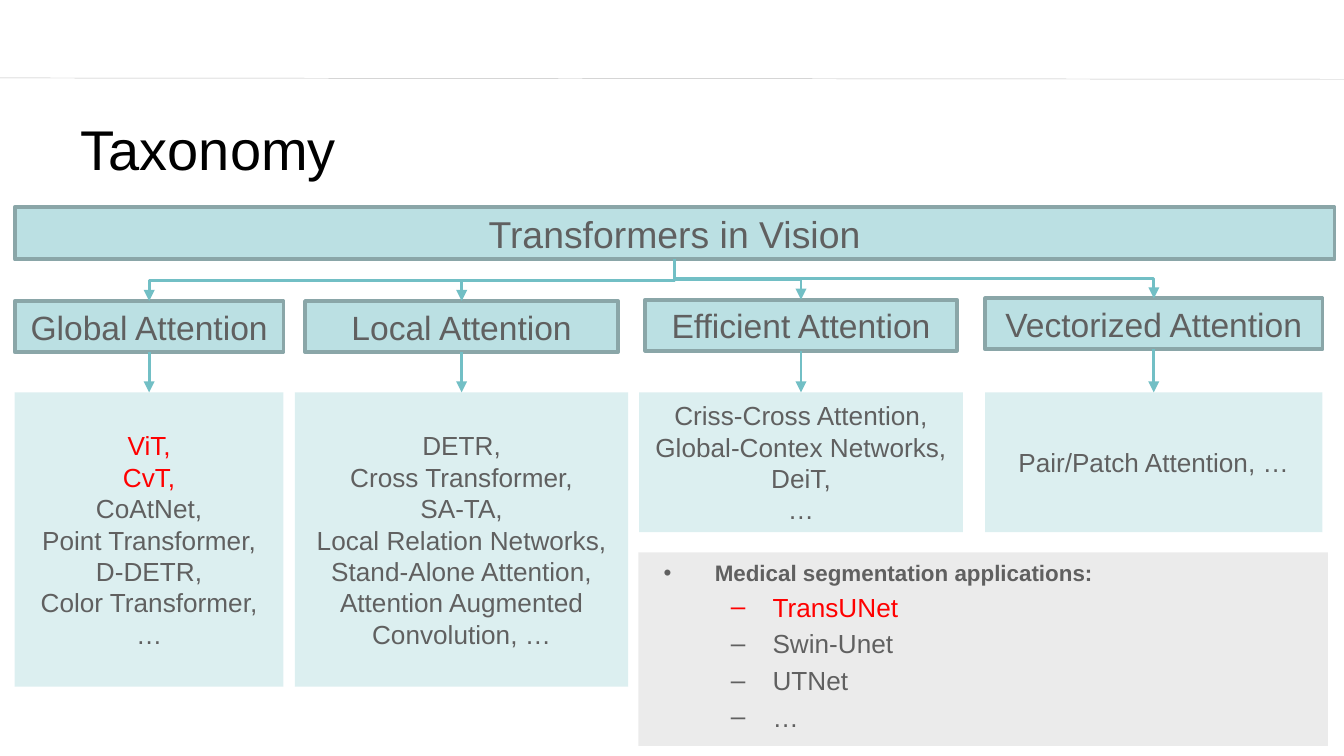
from dataclasses import dataclass

from lxml import etree
from pptx import Presentation
from pptx import util as u
from pptx.dml.color import RGBColor
from pptx.enum import shapes, text
from pptx.oxml import ns


@dataclass(frozen=True)
class Theme:
    font: str = "Arial"
    ink: str = "606060"
    title_ink: str = "000000"
    highlight: str = "FF0000"
    fill: str = "BBE0E3"
    border: str = "8AA6A8"
    arrow: str = "72BFC5"
    panel: str = "D9D9D9"
    rule: str = "BFBFBF"
    title_size: int = 30
    root_size: int = 20
    head_size: int = 18
    body_size: int = 14
    label_size: int = 12


THEME = Theme()
HIGHLIGHTED = {"ViT,", "CvT,", "TransUNet"}
LEAF_TOP = 2.92

BRANCHES = [
    ("Global Attention", (0.11, 2.24, 2, 0.38), (2, 2.19),
     ["ViT,", "CvT,", "CoAtNet,", "Point Transformer,", "D-DETR,", "Color Transformer, …"]),
    ("Local Attention", (2.27, 2.24, 2.33, 0.38), (2.48, 2.19),
     ["DETR,", "Cross Transformer,", "SA-TA,", "Local Relation Networks,",
      "Stand-Alone Attention,", "Attention Augmented Convolution, …"]),
    ("Efficient Attention", (4.8, 2.23, 2.32, 0.38), (2.41, 1.04),
     ["Criss-Cross Attention,", "Global-Contex Networks, DeiT,", "…"]),
    ("Vectorized Attention", (7.33, 2.22, 2.51, 0.38), (2.51, 1.04),
     ["Pair/Patch Attention, …"]),
]
APPLICATIONS = ["TransUNet", "Swin-Unet", "UTNet", "…"]


def color(value):
    return RGBColor.from_string(value)


def inches(values):
    return [u.Inches(value) for value in values]


def add_child(parent, tag, **attributes):
    return etree.SubElement(parent, ns.qn(tag), attributes)


def style_font(para, size, ink=THEME.ink, bold=False):
    para.font.name = THEME.font
    para.font.size = u.Pt(size)
    para.font.bold = bold
    para.font.color.rgb = color(ink)


def write_lines(frame, lines, size):
    for index, line in enumerate(lines):
        para = frame.add_paragraph() if index else frame.paragraphs[0]
        para.text = line
        para.alignment = text.PP_ALIGN.CENTER
        style_font(para, size, THEME.highlight if line in HIGHLIGHTED else THEME.ink)


def add_box(parent, bounds, fill, opacity=100, border=None):
    box = parent.add_shape(shapes.MSO_SHAPE.RECTANGLE, *inches(bounds))
    box.shadow.inherit = False
    box.fill.solid()
    box.fill.fore_color.rgb = color(fill)
    if opacity < 100:
        tone = box.fill._xPr.find(ns.qn("a:solidFill"))[0]
        add_child(tone, "a:alpha", val=str(opacity * 1000))
    if border:
        box.line.color.rgb = color(border)
        box.line.width = u.Pt(2)
    else:
        box.line.fill.background()
    box.text_frame.word_wrap = True
    box.text_frame.vertical_anchor = text.MSO_ANCHOR.MIDDLE
    return box


def add_node(page, bounds, label, size):
    box = add_box(page.shapes, bounds, THEME.fill, border=THEME.border)
    box.text_frame.word_wrap = False
    write_lines(box.text_frame, [label], size)
    return box


def add_line(page, kind, ends, ink, width, arrow=False):
    line = page.shapes.add_connector(kind, *ends)
    line.line.color.rgb = color(ink)
    line.line.width = u.Pt(width)
    if arrow:
        add_child(line.line._get_or_add_ln(), "a:tailEnd", type="triangle")
    add_child(line._element.spPr, "a:effectLst")
    return line


def join(page, upper, lower, kind):
    start_x, start_y = upper.left + upper.width // 2, upper.top + upper.height
    end_x, end_y = lower.left + lower.width // 2, lower.top
    line = add_line(page, kind, (start_x, start_y, end_x, end_y), THEME.arrow, 1.5, True)
    line.begin_connect(upper, 2)
    line.end_connect(lower, 0)
    if kind == shapes.MSO_CONNECTOR.ELBOW:
        drop, span = end_y - start_y, abs(end_x - start_x)
        line.left = (start_x + end_x - drop) // 2
        line.top = (start_y + end_y - span) // 2
        line.width, line.height = drop, span
        leftward = end_x < start_x
        frame = line._element.spPr.find(ns.qn("a:xfrm"))
        frame.set("rot", str((90 if leftward else 270) * 60000))
        frame.set("flipH", "0" if leftward else "1")


def add_header(page, bounds):
    add_line(page, shapes.MSO_CONNECTOR.STRAIGHT, inches((0, 0.58, 10, 0.59)), THEME.rule, 0.25)
    title = page.shapes.title
    title.left, title.top, title.width, title.height = inches(bounds)
    title.text_frame.vertical_anchor = text.MSO_ANCHOR.MIDDLE
    para = title.text_frame.paragraphs[0]
    para.text = "Taxonomy"
    para.alignment = text.PP_ALIGN.LEFT
    style_font(para, THEME.title_size, THEME.title_ink)


def add_taxonomy(page, bounds):
    root = add_node(page, bounds, "Transformers in Vision", THEME.root_size)
    for label, head_bounds, (width, height), members in BRANCHES:
        head = add_node(page, head_bounds, label, THEME.head_size)
        left = head_bounds[0] + (head_bounds[2] - width) / 2
        leaf = add_box(page.shapes, (left, LEAF_TOP, width, height), THEME.fill, opacity=50)
        write_lines(leaf.text_frame, members, THEME.body_size)
        join(page, root, head, shapes.MSO_CONNECTOR.ELBOW)
        join(page, head, leaf, shapes.MSO_CONNECTOR.STRAIGHT)


def add_bullet(para, line, symbol, margin, hanging):
    para.text = line
    para.space_before = u.Pt(2.8)
    properties = para._p.get_or_add_pPr()
    properties.set("marL", str(u.Inches(margin)))
    properties.set("indent", str(-u.Inches(hanging)))
    add_child(properties, "a:buFont", typeface=THEME.font)
    add_child(properties, "a:buChar", char=symbol)


def add_applications(page, bounds):
    left, top, width, height = bounds
    group = page.shapes.add_group_shape()
    add_box(group.shapes, bounds, THEME.panel, opacity=50)
    notes = group.shapes.add_textbox(*inches((left + 0.09, top, width - 0.09, height - 0.18)))
    frame = notes.text_frame
    frame.word_wrap = True
    heading = frame.paragraphs[0]
    add_bullet(heading, "Medical segmentation applications:", "•", 0.38, 0.38)
    style_font(heading, THEME.label_size, bold=True)
    for name in APPLICATIONS:
        para = frame.add_paragraph()
        para.level = 1
        add_bullet(para, name, "–", 0.81, 0.31)
        style_font(para, THEME.body_size, THEME.highlight if name in HIGHLIGHTED else THEME.ink)


def main():
    deck = Presentation()
    deck.slide_width = u.Inches(10)
    deck.slide_height = deck.slide_width * 9 // 16
    page = deck.slides.add_slide(deck.slide_layouts[5])
    add_header(page, (0.5, 0.77, 9, 0.66))
    add_taxonomy(page, (0.11, 1.54, 9.82, 0.39))
    add_applications(page, (4.75, 4.11, 5.13, 1.44))
    deck.save("out.pptx")


if __name__ == "__main__":
    main()
